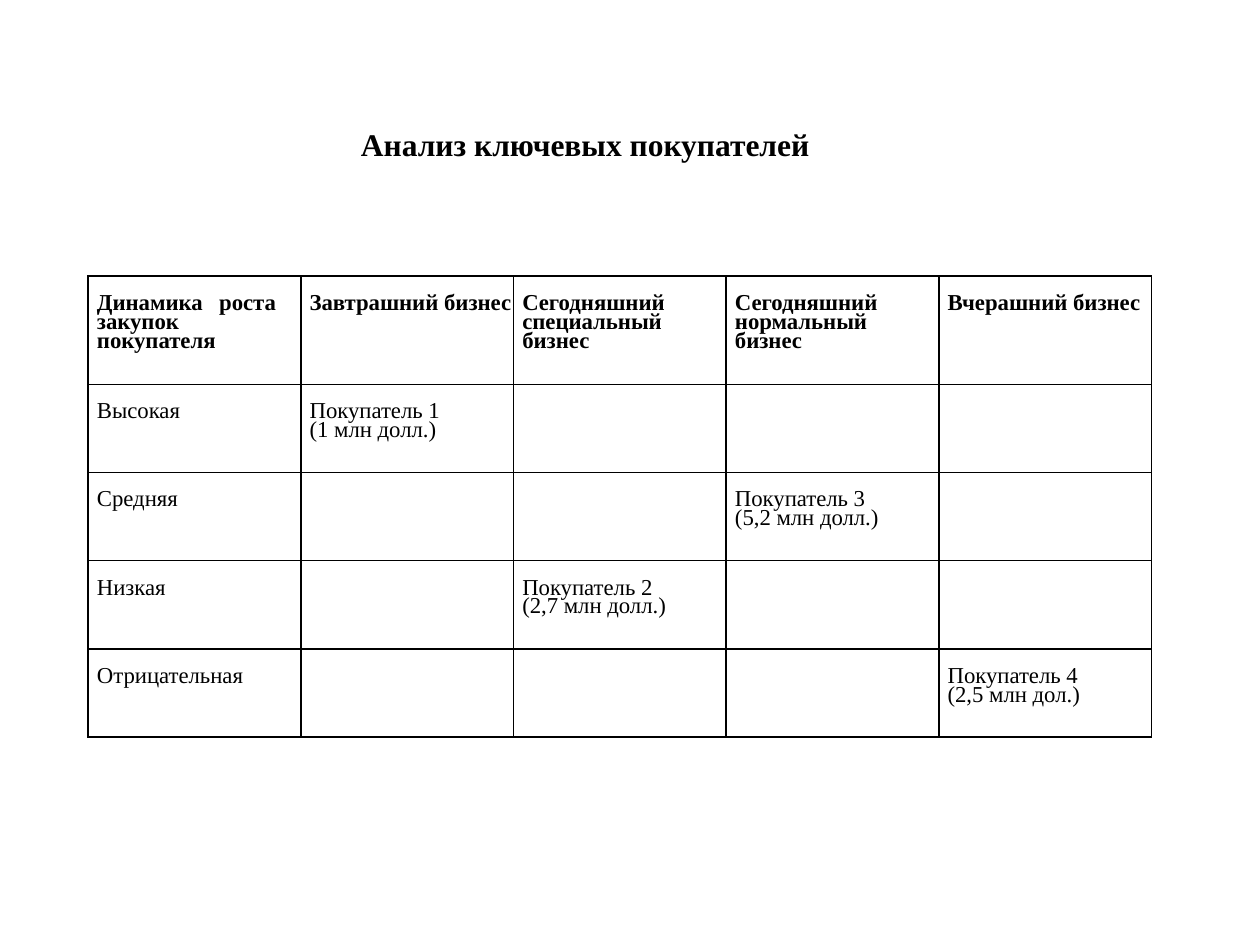
from typing import NamedTuple

from lxml.etree import SubElement as Sub
from pptx import Presentation
from pptx.dml.color import RGBColor
from pptx.enum.text import MSO_ANCHOR as Anchor, MSO_AUTO_SIZE as Fit, PP_ALIGN as Align
from pptx.oxml.ns import qn
from pptx.util import Inches, Pt

BLACK = RGBColor(0x00, 0x00, 0x00)
FACE = "Times New Roman"
LEAD = 11.2  # line height of a first paragraph, points
NEXT = 10.8  # line height of the following paragraphs


class Buyer(NamedTuple):
    row: int
    col: int
    name: str
    sum: str


HEADS = [
    ["Динамика\tроста", "закупок покупателя"],
    ["Завтрашний бизнес"],
    ["Сегодняшний", "специальный бизнес"],
    ["Сегодняшний", "нормальный бизнес"],
    ["Вчерашний бизнес"],
]
RATES = ["Высокая", "Средняя", "Низкая", "Отрицательная"]
BUYERS = [
    Buyer(1, 1, "Покупатель 1", "(1 млн долл.)"),
    Buyer(2, 3, "Покупатель 3", "(5,2 млн долл.)"),
    Buyer(3, 2, "Покупатель 2", "(2,7 млн долл.)"),
    Buyer(4, 4, "Покупатель 4", "(2,5 млн дол.)"),
]


def style(para, size: float, bold: bool) -> None:
    font = para.font
    font.name, font.size, font.bold = FACE, Pt(size), bold
    font.color.rgb = BLACK


def frame(cell) -> None:
    """Clear the fill and draw a black border on all four sides."""
    props = cell._tc.get_or_add_tcPr()
    for side in ("a:lnL", "a:lnR", "a:lnT", "a:lnB"):
        line = Sub(props, qn(side), w=str(Pt(1)))
        Sub(Sub(line, qn("a:solidFill")), qn("a:srgbClr"), val=str(BLACK))
    cell.fill.background()


def write(cell, lines: list[str], bold: bool = False) -> None:
    cell.margin_left = Inches(0.07)
    cell.margin_right = cell.margin_bottom = 0
    cell.margin_top = Pt(LEAD)
    text = cell.text_frame
    text.text = "\n".join(lines)
    for i, para in enumerate(text.paragraphs):
        para.line_spacing = Pt(NEXT if i else LEAD)
        if "\t" in lines[i]:
            tabs = Sub(para._p.get_or_add_pPr(), qn("a:tabLst"))
            Sub(tabs, qn("a:tab"), pos=str(Inches(0.97)), algn="l")
        style(para, 13, bold)


def main() -> None:
    deck = Presentation()
    deck.slide_width, deck.slide_height = Inches(10), Inches(7.5)
    slide = deck.slides.add_slide(deck.slide_layouts[5])

    # Title
    title = slide.shapes.title
    title.left, title.top = Inches(2.42), Inches(0.94)
    title.width, title.height = Inches(4.45), Inches(0.4)
    text = title.text_frame
    text.text = "Анализ ключевых покупателей"
    text.auto_size = Fit.NONE
    text.vertical_anchor = Anchor.TOP
    text.paragraphs[0].alignment = Align.CENTER
    style(text.paragraphs[0], 18, True)

    # Table grid
    rows, cols = len(RATES) + 1, len(HEADS)
    table = slide.shapes.add_table(
        rows, cols, Inches(0.7), Inches(2.19), Inches(8.44), Inches(3.67)
    ).table
    table.first_row = table.horz_banding = False
    for i, row in enumerate(table.rows):
        row.height = Inches(0.7 if i else 0.86)
    for cell in table.iter_cells():
        frame(cell)

    # Table text
    for col, head in enumerate(HEADS):
        write(table.cell(0, col), head, bold=True)
    for row, rate in enumerate(RATES, 1):
        write(table.cell(row, 0), [rate])
    for buyer in BUYERS:
        write(table.cell(buyer.row, buyer.col), [buyer.name, buyer.sum])

    deck.save("out.pptx")


if __name__ == "__main__":
    main()
